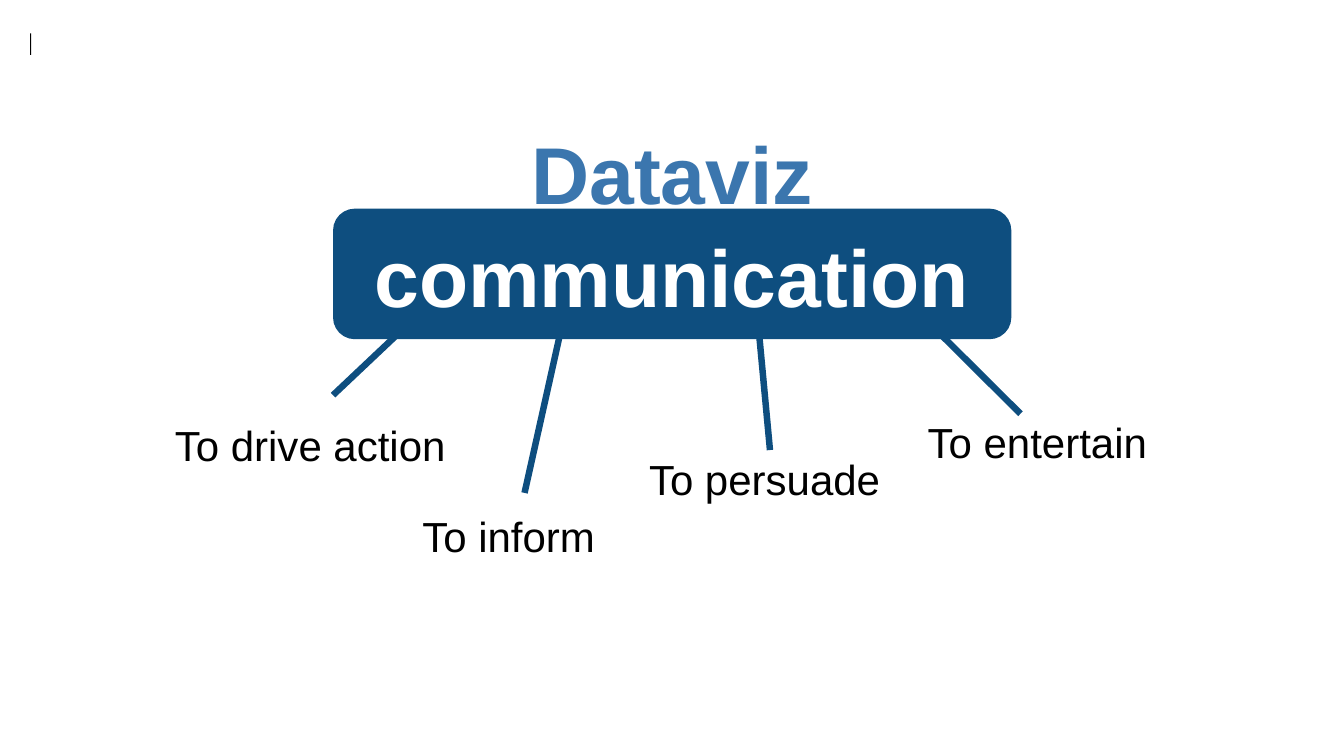
from lxml import etree
from pptx import Presentation
from pptx.dml.color import RGBColor
from pptx.enum.shapes import MSO_CONNECTOR as CONN, MSO_SHAPE as SHAPE
from pptx.enum.text import MSO_ANCHOR as ANCHOR, MSO_AUTO_SIZE as AUTO, PP_ALIGN as ALIGN
from pptx.oxml.ns import qn
from pptx.util import Inches, Pt

NAVY = RGBColor(0x0E, 0x4E, 0x7F)
BLUE = RGBColor(0x3B, 0x76, 0xAE)
WHITE = RGBColor(0xFF, 0xFF, 0xFF)
BLACK = RGBColor(0, 0, 0)

HEADING = {"size": Pt(115), "bold": True}
LABEL = {"size": Pt(60), "bold": False}
HEADING_H = 13.6
LABEL_SIZE = (29.02, 7.4)
BANNER_X, BANNER_W = 24.78, 50.47

# label, its left and top, spoke start, spoke end
PURPOSES = [
    ("To drive action", (12.64, 55.07), (30.26, 43.07), (24.78, 52.27)),
    ("To inform", (31.05, 67.07), (41.66, 44.27), (39.03, 65.2)),
    ("To persuade", (47.92, 59.53), (56.47, 43.93), (57.29, 59.53)),
    ("To entertain", (68.65, 54.73), (68.05, 40.8), (75.93, 54.73)),
]


class Canvas:
    """Draws on one slide; all lengths are percent of its width and height."""

    font = "Arial"
    spoke_width = Pt(9.25)

    def __init__(self, prs):
        self.w, self.h = prs.slide_width, prs.slide_height
        self.s = prs.slides.add_slide(prs.slide_layouts[5])

    def scale(self, *values):
        """Turn alternating x and y percentages into slide lengths."""
        return [round(v * (self.h if i % 2 else self.w) / 100)
                for i, v in enumerate(values)]

    def fill_text(self, sp, text, color, style, align):
        tf = sp.text_frame
        frame = {"word_wrap": True, "auto_size": AUTO.NONE,
                 "vertical_anchor": ANCHOR.BOTTOM,
                 "margin_left": Inches(0.1), "margin_right": Inches(0.1),
                 "margin_top": Inches(0.05), "margin_bottom": Inches(0.05)}
        for name, value in frame.items():
            setattr(tf, name, value)
        p = tf.paragraphs[0]
        p.alignment = align
        r = p.add_run()
        r.text = text
        for name, value in {"name": self.font, **style}.items():
            setattr(r.font, name, value)
        r.font.color.rgb = color

    def title(self, text, box, color):
        sp = self.s.shapes.title
        sp.left, sp.top, sp.width, sp.height = self.scale(*box)
        self.fill_text(sp, text, color, HEADING, ALIGN.CENTER)

    def text(self, text, box, color, style, align=ALIGN.LEFT):
        sp = self.s.shapes.add_textbox(*self.scale(*box))
        self.fill_text(sp, text, color, style, align)

    def block(self, kind, box, color):
        sp = self.s.shapes.add_shape(kind, *self.scale(*box))
        sp.shadow.inherit = False
        sp.fill.solid()
        sp.fill.fore_color.rgb = color
        sp.line.fill.background()

    def spoke(self, start, end, color):
        c = self.s.shapes.add_connector(CONN.STRAIGHT, *self.scale(*start, *end))
        c.line.color.rgb = color
        c.line.width = self.spoke_width
        etree.SubElement(c._element.spPr, qn("a:effectLst"))


def main():
    prs = Presentation()
    prs.slide_width, prs.slide_height = Inches(26.67), Inches(15)
    canvas = Canvas(prs)
    canvas.block(SHAPE.RECTANGLE, (2.25, 4.4, 0.07, 2.87), BLACK)
    canvas.block(SHAPE.ROUNDED_RECTANGLE, (BANNER_X, 27.6, BANNER_W, 17.27), NAVY)
    canvas.text("communication", (6.11, 29.47, 87.74, HEADING_H), WHITE,
                HEADING, ALIGN.CENTER)
    canvas.title("Dataviz", (BANNER_X, 15.93, BANNER_W, HEADING_H), BLUE)
    for label, corner, start, end in PURPOSES:
        canvas.text(label, corner + LABEL_SIZE, BLACK, LABEL)
        canvas.spoke(start, end, NAVY)
    prs.save("out.pptx")


if __name__ == "__main__":
    main()
